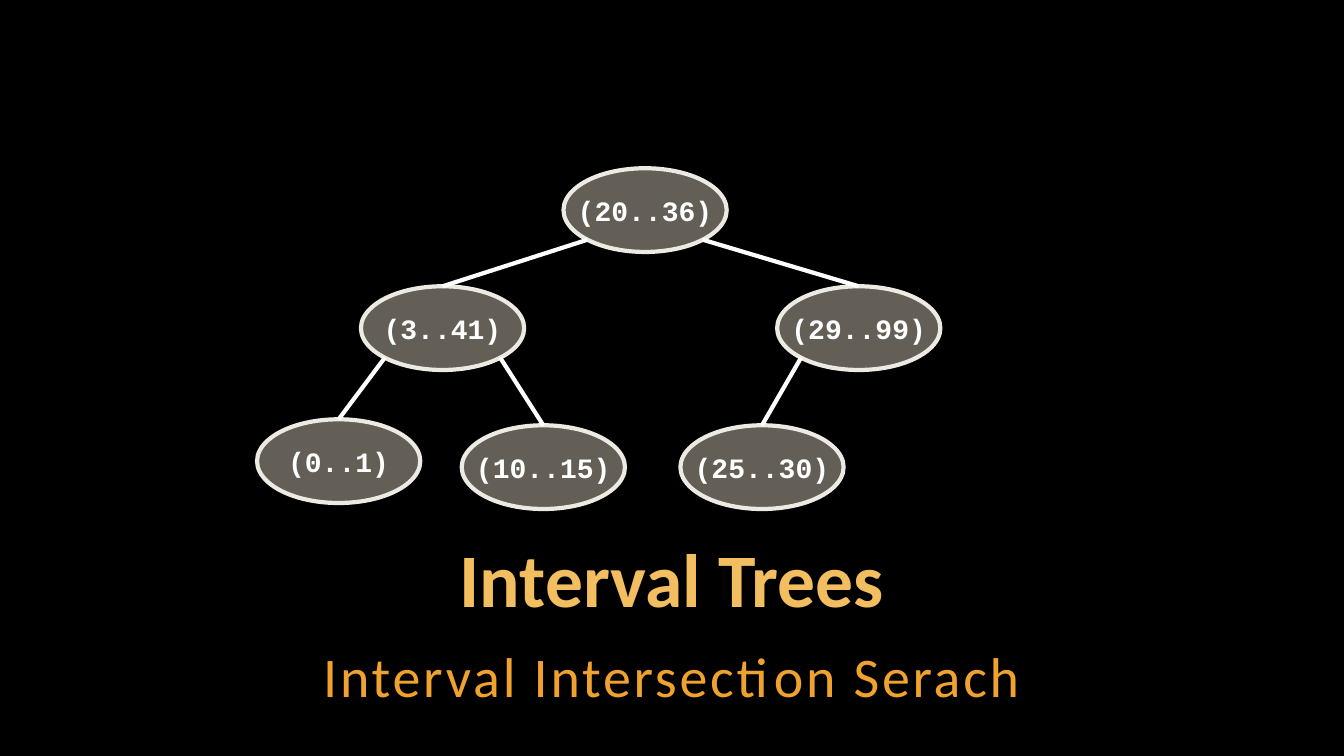
import pptx
import pptx.dml.color
import pptx.enum.shapes
import pptx.enum.text
import pptx.oxml
import pptx.oxml.ns
import pptx.util
from lxml import etree

Pt = pptx.util.Pt
qn = pptx.oxml.ns.qn
ALIGN = pptx.enum.text.PP_ALIGN
ANCHOR = pptx.enum.text.MSO_ANCHOR
AUTO_SIZE = pptx.enum.text.MSO_AUTO_SIZE

NODE_WIDTH, NODE_HEIGHT = 116.6, 59.8
DIAGONAL = 0.5 ** 0.5

# label: (left, top, parent label, side of the parent: -1 left, 1 right)
NODES = {
    "(20..36)": (402.5, 120.2, None, 0),
    "(29..99)": (555.1, 204.5, "(20..36)", 1),
    "(3..41)": (257.8, 204.5, "(20..36)", -1),
    "(0..1)": (183.6, 299.5, "(3..41)", -1),
    "(10..15)": (329.8, 303.8, "(3..41)", 1),
    "(25..30)": (486, 303.8, "(29..99)", -1),
}


def set_color(color_format, value):
    color_format.rgb = pptx.dml.color.RGBColor.from_string(value)


def add_run(paragraph, text, size, font_name, color, bold=False):
    run = paragraph.add_run()
    run.text = text
    run.font.size = Pt(size)
    run.font.name = font_name
    run.font.bold = bold
    run.font.fill.solid()
    set_color(run.font.fill.fore_color, color)
    return run


def place_heading(placeholder, top, height, anchor, line_spacing):
    """Move a placeholder and return its centred, unbulleted paragraph."""
    placeholder.left, placeholder.top = Pt(72), Pt(top)
    placeholder.width, placeholder.height = Pt(816), Pt(height)
    frame = placeholder.text_frame
    frame.margin_left = frame.margin_right = Pt(3)
    frame.margin_top = frame.margin_bottom = Pt(3)
    frame.vertical_anchor = anchor
    frame.word_wrap = True
    frame.auto_size = AUTO_SIZE.SHAPE_TO_FIT_TEXT
    paragraph = frame.paragraphs[0]
    properties = paragraph._p.get_or_add_pPr()
    properties.set("marL", "0")
    properties.set("indent", "0")
    etree.SubElement(properties, qn("a:buNone"))
    paragraph.alignment = ALIGN.CENTER
    paragraph.line_spacing = line_spacing
    paragraph.space_before = Pt(0)
    return paragraph


def add_node(tree, label, left, top):
    node = tree.shapes.add_shape(
        pptx.enum.shapes.MSO_SHAPE.OVAL,
        Pt(left), Pt(top), Pt(NODE_WIDTH), Pt(NODE_HEIGHT))
    node.shadow.inherit = False
    node.fill.solid()
    set_color(node.fill.fore_color, "C7BFAC")
    fill_color = node.fill._xPr.find(qn("a:solidFill"))[0]
    etree.SubElement(fill_color, qn("a:alpha"), val="50000")
    node.line.fill.solid()
    set_color(node.line.fill.fore_color, "ECEAE3")
    node.line.width = Pt(3)
    frame = node.text_frame
    frame.word_wrap = False
    frame.vertical_anchor = ANCHOR.MIDDLE
    paragraph = frame.paragraphs[0]
    paragraph.alignment = ALIGN.CENTER
    add_run(paragraph, label, 20, "Courier New", "FFFFFF", bold=True)
    return node


def add_edge(tree, child, parent, side):
    """Join the top of a child to the lower left or right of its parent."""
    end_x = parent.left + parent.width * (1 + side * DIAGONAL) / 2
    end_y = parent.top + parent.height * (1 + DIAGONAL) / 2
    edge = tree.shapes.add_connector(
        pptx.enum.shapes.MSO_CONNECTOR.STRAIGHT,
        child.left + child.width // 2, child.top, int(end_x), int(end_y))
    edge.begin_connect(child, 0)
    edge.line.fill.solid()
    set_color(edge.line.fill.fore_color, "FFFFFF")
    edge.line.width = Pt(3)
    etree.SubElement(edge._element.spPr, qn("a:effectLst"))


def add_interval_tree(slide):
    tree = slide.shapes.add_group_shape()
    nodes = {label: add_node(tree, label, left, top)
             for label, (left, top, _, _) in NODES.items()}
    for label, (_, _, parent, side) in NODES.items():
        if parent:
            add_edge(tree, nodes[label], nodes[parent], side)


def main():
    presentation = pptx.Presentation()
    presentation.slide_width, presentation.slide_height = Pt(960), Pt(540)
    slide = presentation.slides.add_slide(presentation.slide_layouts[1])
    slide.background.fill.solid()
    set_color(slide.background.fill.fore_color, "000000")

    title = place_heading(slide.shapes.title, 383.8, 64.8, ANCHOR.BOTTOM, 0.9)
    add_run(title, "Interval Trees", 54, "Calibri", "F3BE60", bold=True)
    subtitle = place_heading(slide.placeholders[1], 452.9, 56.9, ANCHOR.TOP, 1.05)
    subtitle.space_after = Pt(6)
    run = add_run(subtitle, "Interval Intersection Serach", 40, "Calibri", "F0A22E")
    run.font._element.set("spc", "200")

    add_interval_tree(slide)
    presentation.save("out.pptx")


if __name__ == "__main__":
    main()
